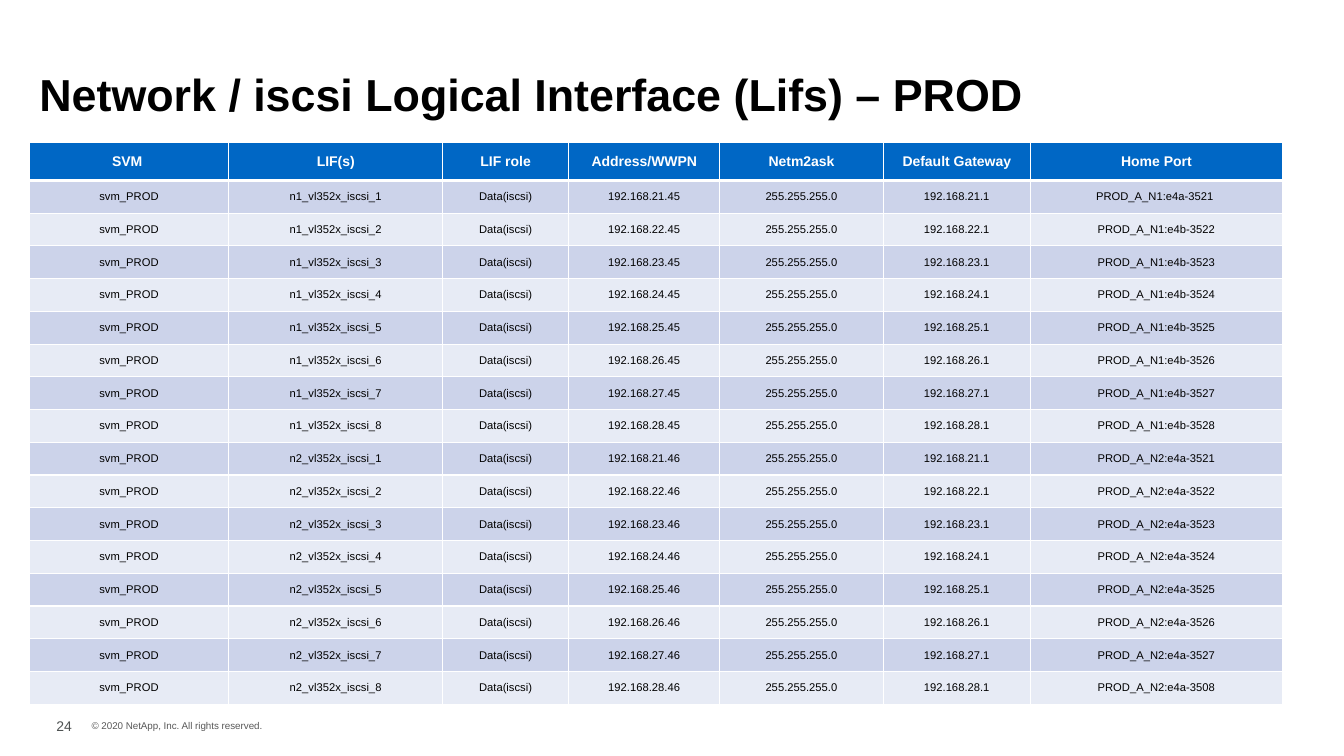
"""Build the slide that lists the iSCSI logical interfaces of the PROD SVM."""
from lxml import etree
from pptx import Presentation
from pptx.dml.color import RGBColor
from pptx.enum.text import MSO_ANCHOR, PP_ALIGN
from pptx.oxml.ns import qn
from pptx.util import Inches, Pt

LEFT, CENTER = PP_ALIGN.LEFT, PP_ALIGN.CENTER
TOP, MIDDLE, BOTTOM = MSO_ANCHOR.TOP, MSO_ANCHOR.MIDDLE, MSO_ANCHOR.BOTTOM
TITLE_ONLY = 5

TITLE = "Network / iscsi Logical Interface (Lifs) – PROD"
COPYRIGHT = "© 2020 NetApp, Inc. All rights reserved."
PAGE_NUMBER = "24"
HEADERS = ["SVM ", "LIF(s)", "LIF role", "Address/WWPN", "Netm2ask",
           "Default Gateway", "Home Port"]
HOME_PORTS = {
    1: ["e4a-3521 ", "e4b-3522", "e4b-3523", "e4b-3524",
        "e4b-3525", "e4b-3526", "e4b-3527", "e4b-3528"],
    2: ["e4a-3521", "e4a-3522", "e4a-3523", "e4a-3524",
        "e4a-3525", "e4a-3526", "e4a-3527", "e4a-3508"],
}
COLORS = {"header": "0067C5", "odd": "CCD3EA", "even": "E7EBF5", "white": "FFFFFF",
          "black": "000000", "copyright": "595959", "number": "4E5252"}

SLIDE_SIZE = (13.33, 7.5)
TITLE_BOX = (0.29, 0.25, 12.75, 1)
COPYRIGHT_BOX = (0.81, 7.09, 1.96, 0.22)
NUMBER_BOX = (0.46, 7.07, 0.49, 0.29)
TABLE_BOX = (0.29, 1.41, 12.42, 5.58)
COLUMN_WIDTHS = [1.98, 2.12, 1.25, 1.5, 1.62, 1.46, 2.5]
HEADER_HEIGHT = 0.38


def interface_rows():
    return [["svm_PROD", f"n{node}_vl352x_iscsi_{number}", "Data(iscsi)",
             f"192.168.{20 + number}.{44 + node}", "255.255.255.0",
             f"192.168.{20 + number}.1", f"PROD_A_N{node}:{port}"]
            for node, ports in HOME_PORTS.items()
            for number, port in enumerate(ports, 1)]


def write(frame, text, size, color, bold=False, align=LEFT, anchor=TOP, spacing=1.0):
    frame.vertical_anchor = anchor
    para = frame.paragraphs[0]
    para.alignment = align
    para.line_spacing = spacing
    span = para.add_run()
    span.text = text
    span.font.name = "Arial"
    span.font.size = Pt(size)
    span.font.bold = bold
    span.font.color.rgb = RGBColor.from_string(COLORS[color])


def add_label(slide, place, text, size, color, wrap):
    box = slide.shapes.add_textbox(*map(Inches, place))
    box.text_frame.word_wrap = wrap
    write(box.text_frame, text, size, color)


def style_cell(cell, fill, top, bottom):
    properties = cell._tc.get_or_add_tcPr()
    for side, width in (("L", 1), ("R", 1), ("T", top), ("B", bottom)):
        line = etree.SubElement(properties, qn(f"a:ln{side}"), w=str(Pt(width)))
        solid = etree.SubElement(line, qn("a:solidFill"))
        etree.SubElement(solid, qn("a:srgbClr"), val=COLORS["white"])
    cell.fill.solid()
    cell.fill.fore_color.rgb = RGBColor.from_string(COLORS[fill])


def add_interface_table(slide):
    rows = [HEADERS] + interface_rows()
    frame = slide.shapes.add_table(len(rows), len(HEADERS), *map(Inches, TABLE_BOX))
    table = frame.table
    for column, width in zip(table.columns, COLUMN_WIDTHS):
        column.width = Inches(width)
    body_height = (TABLE_BOX[3] - HEADER_HEIGHT) / (len(rows) - 1)
    for row_index, texts in enumerate(rows):
        header = row_index == 0
        table.rows[row_index].height = Inches(HEADER_HEIGHT if header else body_height)
        fill = "header" if header else "odd" if row_index % 2 else "even"
        for column_index, text in enumerate(texts):
            cell = table.cell(row_index, column_index)
            style_cell(cell, fill, top=3 if row_index == 1 else 1,
                       bottom=3 if header else 1)
            cell.vertical_anchor = MIDDLE
            write(cell.text_frame, text, 10 if header else 8,
                  "white" if header else "black", bold=header,
                  align=CENTER, anchor=MIDDLE)


def main():
    deck = Presentation()
    deck.slide_width, deck.slide_height = map(Inches, SLIDE_SIZE)
    slide = deck.slides.add_slide(deck.slide_layouts[TITLE_ONLY])
    title = slide.shapes.title
    title.left, title.top, title.width, title.height = map(Inches, TITLE_BOX)
    write(title.text_frame, TITLE, 32, "black", bold=True, anchor=BOTTOM, spacing=1.4)
    add_label(slide, COPYRIGHT_BOX, COPYRIGHT, 7, "copyright", wrap=False)
    add_label(slide, NUMBER_BOX, PAGE_NUMBER, 10, "number", wrap=True)
    add_interface_table(slide)
    deck.save("out.pptx")


if __name__ == "__main__":
    main()
